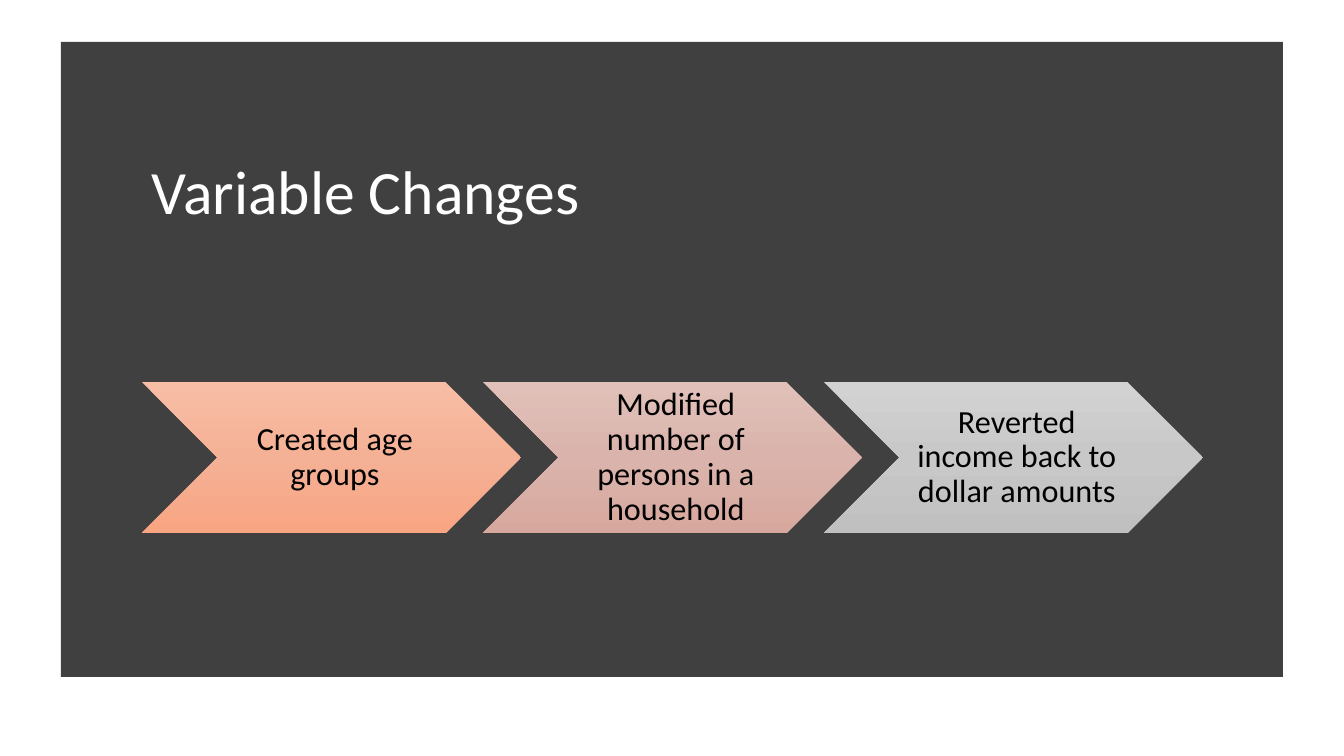
import copy

import pptx
import pptx.dml.color
import pptx.enum.shapes
import pptx.enum.text
import pptx.util

PX = 914400 / 100.8
SHAPE = pptx.enum.shapes.MSO_SHAPE
ALIGN = pptx.enum.text.PP_ALIGN


def px(length):
    return pptx.util.Emu(round(length * PX))


def rgb(value):
    return pptx.dml.color.RGBColor.from_string(value)


deck = pptx.Presentation()
deck.slide_width, deck.slide_height = px(1344), px(756)
slide = deck.slides.add_slide(deck.slide_layouts[6])

# Dark panel
panel = slide.shapes.add_shape(SHAPE.RECTANGLE, px(61), px(42), px(1222), px(635))
panel.shadow.inherit = False
panel.fill.solid()
panel.fill.fore_color.rgb = rgb("404040")
panel.line.fill.background()

# Title
title = slide.shapes.add_textbox(px(142), px(116), px(1062), px(157))
chevrons = []

# Chevron row: wording and gradient from top to bottom
changes = [
    ("Created age groups", ("F7BDA5", "F5B196", "F8A582")),
    ("Modified number of persons in a household", ("E0C0B9", "DAB4AC", "D7A89E")),
    ("Reverted income back to dollar amounts", ("D2D2D2", "C8C8C8", "C0C0C0")),
]
for index, (wording, colours) in enumerate(changes):
    chevron = slide.shapes.add_shape(
        SHAPE.CHEVRON, px(142 + 341 * index), px(382), px(379), px(151))
    chevron.shadow.inherit = False
    chevron.line.fill.background()
    chevron.fill.gradient()
    chevron.fill.gradient_angle = 270
    first_stop = chevron.fill.gradient_stops[0]._gs
    first_stop.addnext(copy.deepcopy(first_stop))
    for stop, colour, position in zip(chevron.fill.gradient_stops, colours, (0, 0.5, 1)):
        stop.color.rgb = rgb(colour)
        stop.position = position
    frame = chevron.text_frame
    frame.margin_left = px(10)
    frame.margin_top = frame.margin_right = frame.margin_bottom = px(3)
    chevrons.append((frame, wording, 23, "000000", ALIGN.CENTER))

# Wording of the title and the chevrons
texts = [(title.text_frame, "Variable Changes", 44, "FFFFFF", ALIGN.LEFT)] + chevrons
for frame, wording, size, colour, alignment in texts:
    frame.word_wrap = True
    frame.vertical_anchor = pptx.enum.text.MSO_ANCHOR.MIDDLE
    paragraph = frame.paragraphs[0]
    paragraph.alignment = alignment
    paragraph.line_spacing = 0.9
    run = paragraph.add_run()
    run.text = wording
    run.font.name = "Calibri"
    run.font.size = pptx.util.Pt(size)
    run.font.color.rgb = rgb(colour)

deck.save("out.pptx")
